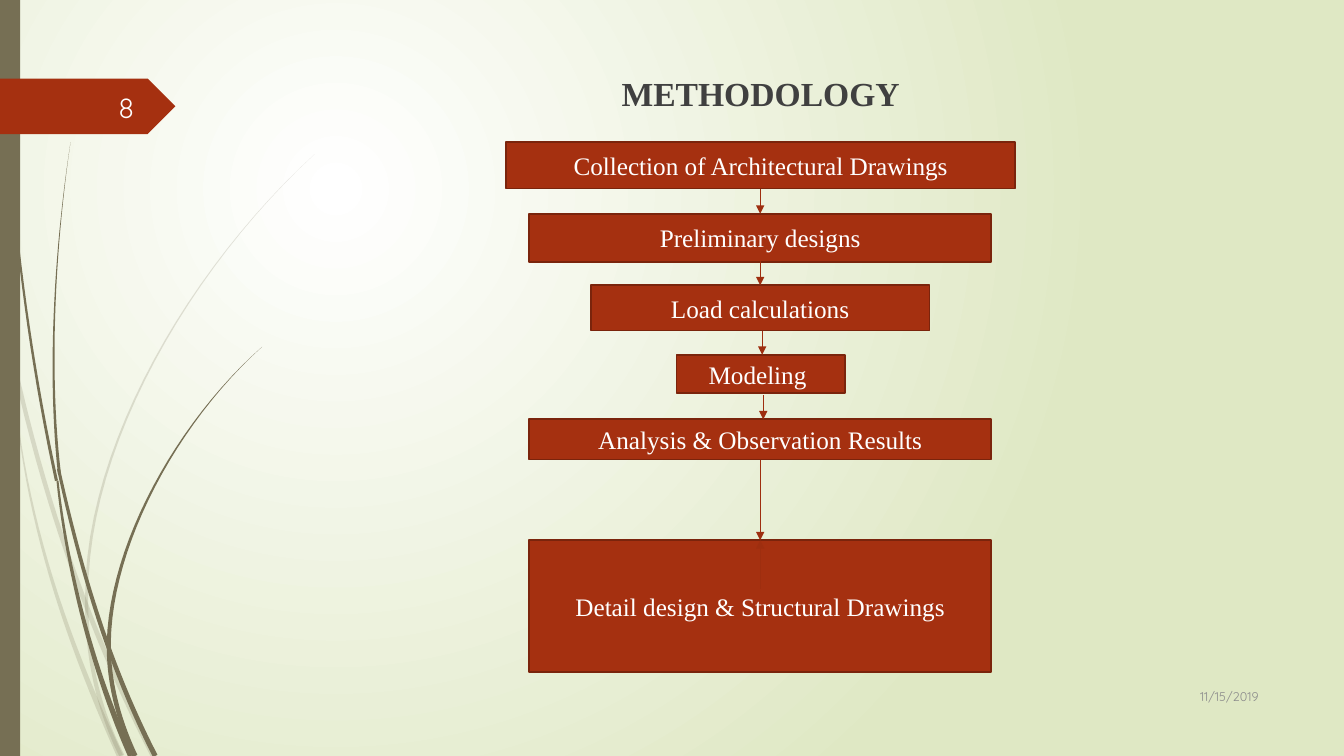
from math import hypot
from typing import NamedTuple

from lxml.etree import SubElement
from pptx import Presentation
from pptx.dml.color import RGBColor
from pptx.enum.shapes import MSO_CONNECTOR, MSO_SHAPE
from pptx.enum.text import MSO_ANCHOR as ANCHOR, PP_ALIGN as ALIGN
from pptx.oxml.ns import qn
from pptx.util import Inches, Pt

WHITE = RGBColor(0xFF, 0xFF, 0xFF)
OFF_WHITE = RGBColor(0xFE, 0xFF, 0xFF)
PALE_GREEN = RGBColor(0xDF, 0xE8, 0xC4)
OLIVE = RGBColor(0x76, 0x6F, 0x54)
RUST = RGBColor(0xA5, 0x30, 0x10)
RUST_EDGE = RGBColor(0x7A, 0x24, 0x0C)
RUST_ARROW = RGBColor(0x9E, 0x2E, 0x0F)
DARK_GREY = RGBColor(0x40, 0x40, 0x40)
MID_GREY = RGBColor(0x8C, 0x8C, 0x8C)
SERIF = "Times New Roman"
SANS = "Quicksand"
CURVE_STEPS = 24


class Wisp(NamedTuple):
    start: tuple[float, float]
    bend1: tuple[float, float]
    bend2: tuple[float, float]
    end: tuple[float, float]
    start_width: float
    end_width: float


class Box(NamedTuple):
    text: str
    left: float
    top: float
    width: float
    height: float


class Arrow(NamedTuple):
    x: float
    start: float
    end: float


class Label(NamedTuple):
    text: str
    left: float
    top: float
    width: float
    height: float
    size: int
    color: RGBColor


PALE_WISPS = [
    Wisp((0, 2.9), (.25, 4.3), (.7, 5.9), (1.52, 7.5), .04, .05),
    Wisp((.11, 3.5), (.2, 5), (.6, 6.2), (1.19, 7.5), 0, .06),
    Wisp((3.12, 1.53), (1.9, 2.65), (.86, 4.4), (.86, 5.9), 0, .03),
    Wisp((.86, 5.9), (.85, 6.5), (.98, 7.05), (1.21, 7.5), .03, .05),
]
DARK_WISPS = [
    Wisp((.04, 0), (.04, 1.6), (.24, 3.3), (.56, 4.77), .01, .03),
    Wisp((.57, 4.77), (.67, 5.7), (.94, 6.7), (1.3, 7.5), .02, .06),
    Wisp((.7, 1.41), (.53, 2.55), (.48, 3.75), (.59, 4.7), 0, .03),
    Wisp((.58, 4.65), (.8, 5.65), (1.08, 6.6), (1.54, 7.5), .03, .05),
    Wisp((2.6, 3.44), (1.75, 4.2), (1.1, 5.4), (1.08, 6.37), 0, .04),
    Wisp((1.08, 6.37), (1.07, 6.8), (1.2, 7.2), (1.34, 7.5), .04, .05),
]
STEPS = [
    Box("Collection of Architectural Drawings", 5.02, 1.41, 5.05, .46),
    Box("Preliminary designs", 5.25, 2.12, 4.58, .48),
    Box("Load calculations", 5.86, 2.83, 3.36, .45),
    Box("Modeling ", 6.71, 3.52, 1.67, .38),
    Box("Analysis & Observation Results", 5.25, 4.16, 4.58, .4),
    Box("Detail design & Structural Drawings", 5.25, 5.36, 4.58, 1.31),
]
ARROWS = [Arrow(7.54, 1.88, 2.12), Arrow(7.54, 2.59, 2.83), Arrow(7.56, 3.28, 3.52),
          Arrow(7.57, 3.92, 4.16), Arrow(7.54, 4.56, 5.36), Arrow(7.54, 5.84, 5.36)]
LABELS = [Label("11/15/2019", 11.33, 6.7, 1.25, .41, 9, MID_GREY),
          Label("8", .58, .86, .85, .4, 20, OFF_WHITE)]


def wisp_outline(wisp: Wisp) -> list:
    left, right = [], []
    knots = wisp[:4]
    for t in (i / CURVE_STEPS for i in range(CURVE_STEPS + 1)):
        u = 1 - t
        weights = (u ** 3, 3 * t * u * u, 3 * t * t * u, t ** 3)
        slopes = (-u * u, u * u - 2 * t * u, 2 * t * u - t * t, t * t)
        x, y = (sum(w * k[axis] for w, k in zip(weights, knots)) for axis in (0, 1))
        dx, dy = (sum(s * k[axis] for s, k in zip(slopes, knots)) for axis in (0, 1))
        reach = (wisp.start_width * u + wisp.end_width * t) / 2 / hypot(dx, dy)
        left.append((Inches(x - dy * reach), Inches(y + dx * reach)))
        right.append((Inches(x + dy * reach), Inches(y - dx * reach)))
    return left + right[::-1]


def paint(sp, color: RGBColor) -> None:
    sp.shadow.inherit = False
    sp.fill.solid()
    sp.fill.fore_color.rgb = color
    sp.line.fill.background()


def draw_wisp(shapes, wisp: Wisp, opacity: int) -> None:
    start, *rest = wisp_outline(wisp)
    builder = shapes.build_freeform(*start)
    builder.add_line_segments(rest)
    sp = builder.convert_to_shape()
    paint(sp, OLIVE)
    if opacity < 100:
        SubElement(sp._element.spPr.find(".//" + qn("a:srgbClr")), qn("a:alpha"), val=str(opacity * 1000))


def write(sp, text: str, size: int, font: str, color: RGBColor, align: ALIGN, bold: bool = False) -> None:
    tf = sp.text_frame
    tf.text, tf.word_wrap, tf.vertical_anchor = text, True, ANCHOR.MIDDLE
    p = tf.paragraphs[0]
    p.alignment = align
    p.font.size, p.font.name, p.font.bold = Pt(size), font, bold
    p.font.color.rgb = color


def draw_step(shapes, box: Box) -> None:
    sp = shapes.add_shape(MSO_SHAPE.RECTANGLE, *map(Inches, box[1:]))
    paint(sp, RUST)
    sp.line.color.rgb, sp.line.width = RUST_EDGE, Pt(1.25)
    write(sp, box.text, 18, SERIF, WHITE, ALIGN.CENTER)


def draw_arrow(shapes, arrow: Arrow) -> None:
    x, start, end = map(Inches, arrow)
    line = shapes.add_connector(MSO_CONNECTOR.STRAIGHT, x, start, x, end)
    line.line.color.rgb, line.line.width = RUST_ARROW, Pt(.75)
    SubElement(line._element.spPr.find(qn("a:ln")), qn("a:tailEnd"), type="triangle")
    SubElement(line._element.spPr, qn("a:effectLst"))


def set_background(slide) -> None:
    fill = slide.background.fill
    fill.gradient()
    for stop, color, position in zip(fill.gradient_stops, (WHITE, PALE_GREEN), (0, 1)):
        stop.color.rgb, stop.position = color, position
    grad = slide._element.find(".//" + qn("a:gradFill"))
    grad.remove(grad.find(qn("a:lin")))
    circle = SubElement(grad, qn("a:path"), path="circle")
    SubElement(circle, qn("a:fillToRect"), l="50000", t="50000", r="100000", b="100000")


def main() -> None:
    prs = Presentation()
    prs.slide_width, prs.slide_height = Inches(13.33), Inches(7.5)
    slide = prs.slides.add_slide(prs.slide_layouts[5])
    shapes = slide.shapes
    set_background(slide)
    title = shapes.title
    title.left, title.top, title.width, title.height = map(Inches, (2.67, .64, 9.75, .56))
    write(title, "METHODOLOGY", 24, SERIF, DARK_GREY, ALIGN.CENTER, bold=True)
    for wisps, opacity in ((PALE_WISPS, 20), (DARK_WISPS, 100)):
        for wisp in wisps:
            draw_wisp(shapes, wisp, opacity)
    paint(shapes.add_shape(MSO_SHAPE.RECTANGLE, 0, 0, Inches(.2), prs.slide_height), OLIVE)
    pennant = shapes.add_shape(MSO_SHAPE.PENTAGON, 0, Inches(.78), Inches(1.74), Inches(.55))
    paint(pennant, RUST)
    for label in LABELS:
        sp = shapes.add_textbox(*map(Inches, label[1:5]))
        write(sp, label.text, label.size, SANS, label.color, ALIGN.RIGHT)
    for box in STEPS:
        draw_step(shapes, box)
    for arrow in ARROWS:
        draw_arrow(shapes, arrow)
    prs.save("out.pptx")


if __name__ == "__main__":
    main()
